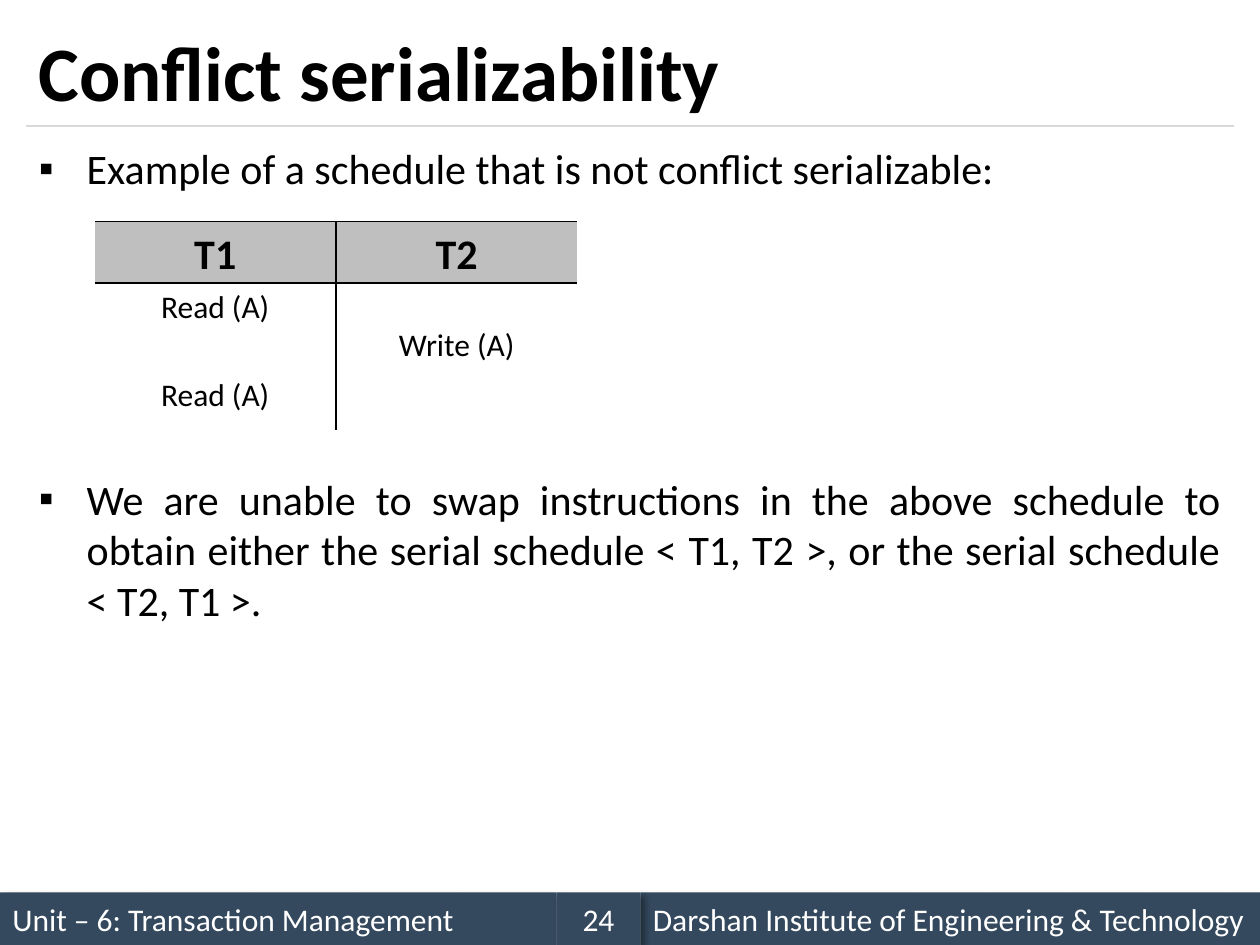
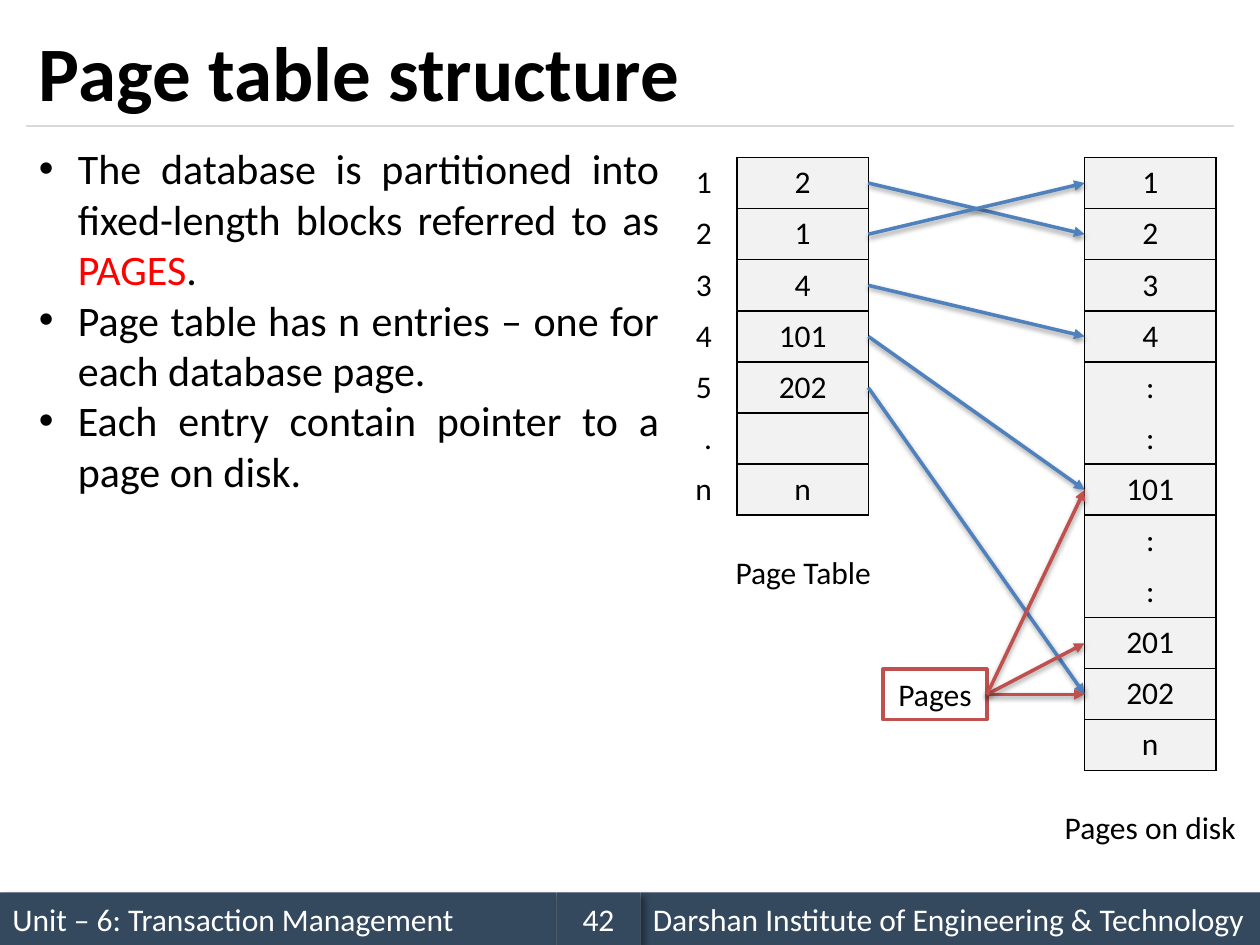
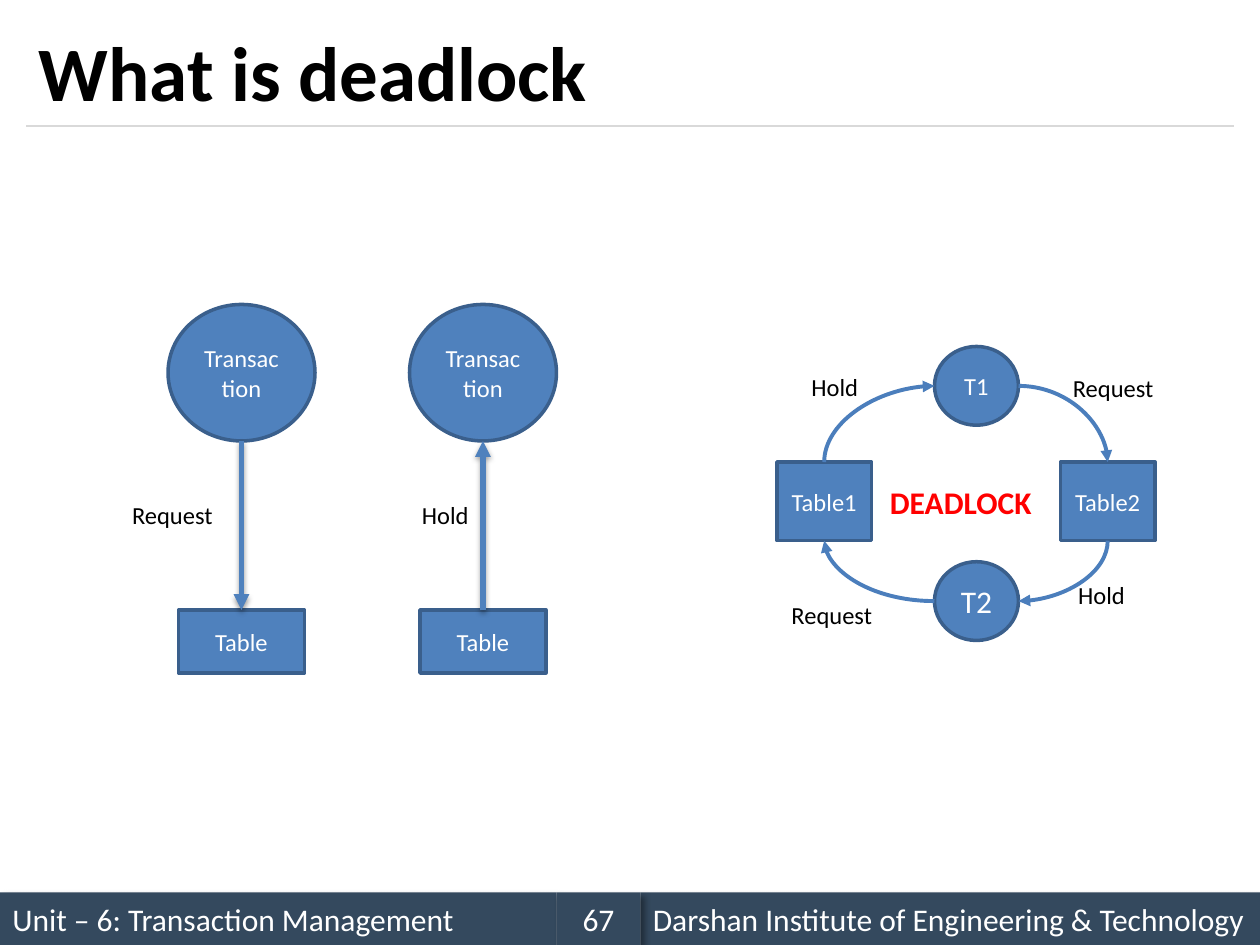
from dataclasses import dataclass
from typing import Any, NamedTuple

from lxml import etree
from pptx import Presentation
from pptx import util as u
from pptx.dml.color import RGBColor
from pptx.enum import shapes, text
from pptx.oxml.ns import qn
from pptx.slide import Slide


@dataclass(frozen=True)
class Theme:
    font: str = "Calibri"
    ink: str = "000000"
    paper: str = "FFFFFF"
    alert: str = "FF0000"
    band: str = "34495E"
    rule: str = "D9D9D9"
    header: str = "BFBFBF"
    block: str = "F2F2F2"
    node: str = "4F81BD"
    node_edge: str = "3A5F8C"
    curve: str = "4B7EBC"
    pages: str = "C0504D"
    title_size: int = 44
    body_size: int = 24
    label_size: int = 18
    node_size: int = 14


T = Theme()
COLS, ROWS = 120, 90
CELL = u.Inches(1) / 12
ALIGN = text.PP_ALIGN
RECT, OVAL = shapes.MSO_SHAPE.RECTANGLE, shapes.MSO_SHAPE.OVAL


class Box(NamedTuple):
    """A place on the slide, in grid columns and rows."""
    col: float
    row: float
    width: float
    height: float


class Shadow(NamedTuple):
    alpha: int
    blur: float
    distance: float
    angle: int


class Run(NamedTuple):
    text: str
    color: str = T.ink


class Bullet(NamedTuple):
    runs: list[Run]
    before: float = 0


@dataclass(frozen=True)
class Node:
    box: Box
    text: str
    kind: Any = RECT
    fill: str = T.node
    edge: str | None = T.node_edge
    color: str = T.paper
    size: int = T.node_size
    align: Any = ALIGN.CENTER
    shadow: Shadow | None = None


@dataclass(frozen=True)
class Label:
    box: Box
    text: str
    size: int = T.node_size
    color: str = T.ink
    bold: bool = False
    align: Any = ALIGN.LEFT


@dataclass(frozen=True)
class Cell:
    lines: tuple[str, ...]
    edges: str = ""
    fill: str | None = None
    size: int = T.label_size
    bold: bool = False
    align: Any = ALIGN.CENTER
    spacing: float = 1.0
    gap: float = 0
    margins: tuple[float, float] | None = None  # side and top, in inches


BAND_SHADOW = Shadow(40, 4, 3, 45)
ARROW_SHADOW = Shadow(38, 3.1, 1.6, 90)


def grid(n: float) -> u.Emu:
    return u.Emu(round(n * CELL))


def rgb(color: str) -> RGBColor:
    return RGBColor.from_string(color)


def assign(obj: Any, **values: Any) -> None:
    for name, value in values.items():
        setattr(obj, name, value)


def child(parent: Any, tag: str, **attrs: Any) -> Any:
    return etree.SubElement(parent, qn(tag), {k: str(v) for k, v in attrs.items()})


def place(sp: Any, box: Box) -> None:
    assign(sp, **dict(zip(("left", "top", "width", "height"), map(grid, box))))


def write(p: Any, words: str, size: int, color: str = T.ink, bold: bool = False) -> None:
    r = p.add_run()
    r.text = words
    assign(r.font, name=T.font, size=u.Pt(size), bold=bold)
    r.font.color.rgb = rgb(color)


def set_shadow(sp: Any, shadow: Shadow | None) -> None:
    """Replace the theme's effects by one outer shadow, or by none."""
    effects = child(sp._element.spPr, "a:effectLst")
    if shadow:
        outer = child(effects, "a:outerShdw", blurRad=u.Pt(shadow.blur), dist=u.Pt(shadow.distance),
                      dir=shadow.angle * 60000, algn="tl", rotWithShape=0)
        color = child(outer, "a:srgbClr", val=T.ink)
        child(color, "a:alpha", val=shadow.alpha * 1000)


def add_node(slide: Slide, node: Node) -> Any:
    sp = slide.shapes.add_shape(node.kind, *map(grid, node.box))
    sp.fill.solid()
    sp.fill.fore_color.rgb = rgb(node.fill)
    if node.edge:
        sp.line.color.rgb = rgb(node.edge)
        sp.line.width = u.Pt(2)
    else:
        sp.line.fill.background()
    set_shadow(sp, node.shadow)
    tf = sp.text_frame
    assign(tf, word_wrap=True, vertical_anchor=text.MSO_ANCHOR.MIDDLE)
    tf.paragraphs[0].alignment = node.align
    write(tf.paragraphs[0], node.text, node.size, node.color)
    return sp


def add_label(slide: Slide, label: Label) -> None:
    tf = slide.shapes.add_textbox(*map(grid, label.box)).text_frame
    tf.word_wrap = False
    tf.paragraphs[0].alignment = label.align
    write(tf.paragraphs[0], label.text, label.size, label.color, label.bold)


def add_line(slide: Slide, start: tuple[float, float], end: tuple[float, float], color: str,
             width: float, arrow: str | None = "a:tailEnd", shadow: Shadow | None = ARROW_SHADOW,
             kind: Any = shapes.MSO_CONNECTOR.STRAIGHT) -> Any:
    line = slide.shapes.add_connector(kind, *map(grid, (*start, *end)))
    line.line.color.rgb = rgb(color)
    line.line.width = u.Pt(width)
    if arrow:
        child(line.get_or_add_ln(), arrow, type="triangle")
    set_shadow(line, shadow)
    return line


def add_curve(slide: Slide, circle: Any, circle_site: int, table: Any, table_site: int,
              arrow: str) -> None:
    """Quarter turn from the side of a circle to the top or bottom of a table."""
    right, bottom = circle_site == 6, table_site == 2
    start = (circle.left + circle.width * right, circle.top + circle.height // 2)
    end = (table.left + table.width // 2, table.top + table.height * bottom)
    line = add_line(slide, tuple(v / CELL for v in start), tuple(v / CELL for v in end),
                    T.curve, 2.25, arrow, None, shapes.MSO_CONNECTOR.CURVE)
    line._element.spPr.find(qn("a:prstGeom")).set("prst", "curvedConnector2")
    joints = line._element.find(".//" + qn("p:cNvCxnSpPr"))
    child(joints, "a:stCxn", id=circle.shape_id, idx=circle_site)
    child(joints, "a:endCxn", id=table.shape_id, idx=table_site)


def format_cell(target: Any, cell: Cell) -> None:
    props = target._tc.get_or_add_tcPr()
    for edge in "LRTB":
        ln = child(props, f"a:ln{edge}", w=u.Pt(1))
        if edge in cell.edges:
            child(child(ln, "a:solidFill"), "a:srgbClr", val=T.ink)
        else:
            child(ln, "a:noFill")
    if cell.fill:
        target.fill.solid()
        target.fill.fore_color.rgb = rgb(cell.fill)
    else:
        target.fill.background()
    if cell.margins:
        side, top = map(u.Inches, cell.margins)
        assign(target, margin_left=side, margin_right=side, margin_top=top, margin_bottom=0)
    tf = target.text_frame
    for i, words in enumerate(cell.lines):
        p = tf.add_paragraph() if i else tf.paragraphs[0]
        assign(p, alignment=cell.align, line_spacing=cell.spacing)
        if i:
            p.space_before = u.Pt(cell.gap)
        if words:
            write(p, words, cell.size, bold=cell.bold)


def add_cells(slide: Slide, col: float, row: float, width: float, heights: list[float],
              cells: list[list[Cell]]) -> None:
    count = len(cells[0])
    table = slide.shapes.add_table(len(cells), count, *map(
        grid, (col, row, width * count, sum(heights)))).table
    assign(table, first_row=False, horz_banding=False)
    for column in table.columns:
        column.width = grid(width)
    for r, (height, line) in enumerate(zip(heights, cells)):
        table.rows[r].height = grid(height)
        for c, cell in enumerate(line):
            format_cell(table.cell(r, c), cell)


def fill_body(slide: Slide, box: Box, bullets: list[Bullet], mark: str, indent: float) -> None:
    body = slide.placeholders[1]
    place(body, box)
    tf = body.text_frame
    tf.auto_size = text.MSO_AUTO_SIZE.NONE
    for i, bullet in enumerate(bullets):
        p = tf.add_paragraph() if i else tf.paragraphs[0]
        assign(p, alignment=ALIGN.JUSTIFY, space_before=u.Pt(bullet.before))
        props = p._p.get_or_add_pPr()
        props.set("marL", str(u.Inches(indent)))
        props.set("indent", str(-u.Inches(indent)))
        child(props, "a:buChar", char=mark)
        for run in bullet.runs:
            write(p, run.text, T.body_size, run.color)


def start_slide(prs: Any, layout: int, title: str, number: int) -> Slide:
    """Add a slide with its title, rule and footer bands."""
    slide = prs.slides.add_slide(prs.slide_layouts[layout])
    place(slide.shapes.title, Box(2.5, 1.5, 115, 10.5))
    tf = slide.shapes.title.text_frame
    assign(tf, auto_size=text.MSO_AUTO_SIZE.NONE, vertical_anchor=text.MSO_ANCHOR.MIDDLE)
    tf.paragraphs[0].alignment = ALIGN.LEFT
    write(tf.paragraphs[0], title, T.title_size, bold=True)
    add_line(slide, (2.5, 12), (COLS - 2.5, 12), T.rule, 0.75, arrow=None, shadow=None)
    for col, end, words, align in (
            (0, 53, "Unit – 6: Transaction Management", ALIGN.LEFT),
            (61, COLS, "Darshan Institute of Engineering & Technology", ALIGN.LEFT),
            (53, 61, str(number), ALIGN.CENTER)):
        add_node(slide, Node(Box(col, ROWS - 5, end - col, 5), words, fill=T.band, edge=None,
                             size=T.label_size, align=align, shadow=BAND_SHADOW))
    return slide


def build_schedule(prs: Any) -> None:
    slide = start_slide(prs, 1, "Conflict serializability", 24)
    fill_body(slide, Box(2.5, 13, 115, 70), [
        Bullet([Run("Example of a schedule that is not conflict serializable:")]),
        Bullet([Run("We are unable to swap instructions in the above schedule to obtain either "
                    "the serial schedule < T1, T2 >, or the serial schedule < T2, T1 >.")], 160),
    ], "▪", 0.38)
    head = dict(fill=T.header, size=T.body_size, bold=True, spacing=1.15, margins=(0.07, 0))
    add_cells(slide, 9, 21.1, 23, [5.85, 14], [
        [Cell(("T1",), "TRB", **head), Cell(("T2",), "TLB", **head)],
        [Cell(("Read (A)", "Read (A)"), "TR", spacing=1.15, gap=25, margins=(0.07, 0)),
         Cell(("Write (A)",), "TL", spacing=1.15, margins=(0.07, 0.3))],
    ])


def block_cells(values: list[str]) -> list[list[Cell]]:
    """One bordered column; neighbouring ':' rows share no line."""
    cells = []
    for before, value, after in zip(["", *values], values, [*values[1:], ""]):
        edges = "LR"
        edges += "" if before == value == ":" else "T"
        edges += "" if after == value == ":" else "B"
        cells.append([Cell((value,), edges, T.block)])
    return cells


def build_page_table(prs: Any) -> None:
    slide = start_slide(prs, 1, "Page table structure", 42)
    fill_body(slide, Box(2.5, 13, 61.5, 35), [
        Bullet([Run("The database is partitioned into fixed-length blocks referred to as "),
                Run("PAGES", T.alert), Run(".")]),
        Bullet([Run("Page table has n entries – one for each database page.")]),
        Bullet([Run("Each entry contain pointer to a page on disk.")]),
    ], "•", 0.31)

    top, height, width = 15, 4.87, 12.5
    table_col, disk_col = 70.2, 103.3
    entries = ["2", "1", "4", "101", "202", "", "n"]
    disk = ["1", "2", "3", "4", ":", ":", "101", ":", ":", "201", "202", "n"]
    index = [[Cell((v,), align=ALIGN.RIGHT)] for v in ["1", "2", "3", "4", "5", ".", "n"]]
    for col, wide, cells in ((table_col, width, block_cells(entries)), (64, 5, index),
                             (disk_col, width, block_cells(disk))):
        add_cells(slide, col, top, wide, [height] * len(cells), cells)
    for box, words in ((Box(68.5, 52.1, 16, 4.85), "Page Table"),
                       (Box(100.2, 76.4, 18.7, 4.85), "Pages on disk")):
        add_label(slide, Label(box, words, T.label_size, align=ALIGN.CENTER))

    def middle(row: int) -> float:
        return top + height * (row + 0.5)

    for row, value in enumerate(entries):
        if value.isdigit():
            add_line(slide, (table_col + width, middle(row)),
                     (disk_col, middle(disk.index(value))), T.node, 2)
    source = Box(84.1, middle(10) - 2.4, 9.9, 4.8)
    add_node(slide, Node(source, "Pages", fill=T.paper, edge=T.pages, color=T.ink,
                         size=T.label_size))
    for value in ("202", "201", "101"):
        add_line(slide, (source.col + source.width, middle(10)),
                 (disk_col, middle(disk.index(value))), T.pages, 2)


def build_deadlock(prs: Any) -> None:
    slide = start_slide(prs, 5, "What is deadlock", 67)
    for col, ends in ((16, (42, 58.1)), (39, (58.1, 42))):
        add_node(slide, Node(Box(col + 1, 58.1, 12, 6), "Table"))
        add_node(slide, Node(Box(col, 29, 14, 13), "Transaction", OVAL))
        add_line(slide, (col + 7, ends[0]), (col + 7, ends[1]), T.node, 3)

    t1 = add_node(slide, Node(Box(89, 33, 8, 7.5), "T1", OVAL))
    t2 = add_node(slide, Node(Box(89, 53.5, 8, 7.5), "T2", OVAL, size=T.label_size))
    table1 = add_node(slide, Node(Box(74, 44, 9, 7.5), "Table1"))
    table2 = add_node(slide, Node(Box(101, 44, 9, 7.5), "Table2"))
    left, right, top, bottom = 2, 6, 0, 2
    add_curve(slide, t2, right, table2, bottom, "a:headEnd")
    add_curve(slide, t2, left, table1, bottom, "a:tailEnd")
    add_curve(slide, t1, left, table1, top, "a:headEnd")
    add_curve(slide, t1, right, table2, top, "a:tailEnd")

    widths = {"Hold": 7.4, "Request": 11}
    for words, col, row in (("Request", 11.4, 47), ("Hold", 39, 47), ("Hold", 76.1, 34.8),
                            ("Hold", 101.5, 54.7), ("Request", 74.2, 56.6),
                            ("Request", 101, 34.9)):
        add_label(slide, Label(Box(col, row, widths[words], 4.1), words))
    add_label(slide, Label(Box(83.3, 45.4, 16.4, 4.85), "DEADLOCK", T.label_size, T.alert,
                           True, ALIGN.CENTER))


def main() -> None:
    prs = Presentation()
    assign(prs, slide_width=grid(COLS), slide_height=grid(ROWS))
    for build in (build_schedule, build_page_table, build_deadlock):
        build(prs)
    prs.save("out.pptx")


if __name__ == "__main__":
    main()
